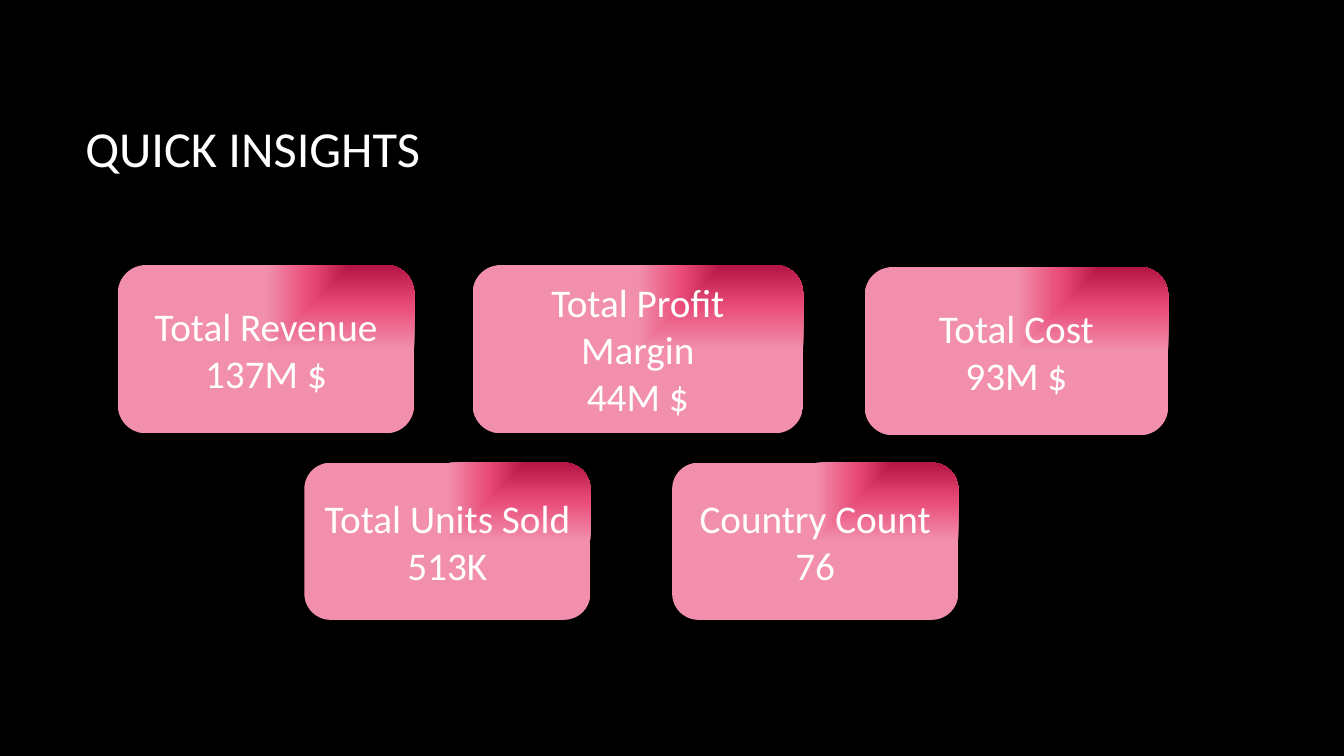
from pptx import Presentation
from pptx.dml.color import RGBColor
from pptx.enum.shapes import MSO_SHAPE
from pptx.enum.text import MSO_ANCHOR, PP_ALIGN
from pptx.oxml import parse_xml
from pptx.oxml.ns import nsdecls, qn
from pptx.util import Cm, Pt

ROUNDED = MSO_SHAPE.ROUNDED_RECTANGLE
MIDDLE = MSO_ANCHOR.MIDDLE
LEFT = PP_ALIGN.LEFT
CENTER = PP_ALIGN.CENTER

BLACK = RGBColor(0x00, 0x00, 0x00)
WHITE = RGBColor(0xFF, 0xFF, 0xFF)
CRIMSON = RGBColor(0xB3, 0x16, 0x44)
ROSE = RGBColor(0xE9, 0x4B, 0x78)
PINK = RGBColor(0xF1, 0x8F, 0xAC)

FONT = "Calibri"
GLOW = [(0, CRIMSON), (48, ROSE), (100, PINK)]

TOP_ROW, BOTTOM_ROW = 6.68, 11.66
TOP_HEIGHT, BOTTOM_HEIGHT = 4.24, 3.96
CARDS = [
    ("Total Revenue", "137M $", 2.97, TOP_ROW, 7.47, TOP_HEIGHT),
    ("Total Profit Margin", "44M $", 11.91, TOP_ROW, 8.33, TOP_HEIGHT),
    ("Total Cost", "93M $", 21.79, 6.73, 7.65, TOP_HEIGHT),
    ("Total Units Sold", "513K", 7.67, BOTTOM_ROW, 7.21, BOTTOM_HEIGHT),
    ("Country Count", "76", 16.94, BOTTOM_ROW, 7.21, BOTTOM_HEIGHT),
]


def write_lines(sp, lines, size, align):
    tf = sp.text_frame
    tf.word_wrap = True
    tf.vertical_anchor = MIDDLE
    tf.text = "\n".join(lines)
    for p in tf.paragraphs:
        p.alignment = align
        p.font.name = FONT
        p.font.size = Pt(size)
        p.font.color.rgb = WHITE


def fill_with_corner_glow(sp):
    stops = "".join(
        f'<a:gs pos="{percent * 1000}"><a:srgbClr val="{color}"/></a:gs>'
        for percent, color in GLOW
    )
    gradient = parse_xml(
        f'<a:gradFill {nsdecls("a")} rotWithShape="1"><a:gsLst>{stops}</a:gsLst>'
        '<a:path path="rect"><a:fillToRect l="100000" b="100000"/></a:path>'
        "</a:gradFill>"
    )
    sp.element.spPr.find(qn("a:prstGeom")).addnext(gradient)


def add_title(s, text):
    sp = s.shapes.add_textbox(Cm(1.9), Cm(1.7), Cm(28.14), Cm(4.04))
    write_lines(sp, [text], 36, LEFT)


def add_card(s, label, value, left, top, width, height):
    sp = s.shapes.add_shape(ROUNDED, Cm(left), Cm(top), Cm(width), Cm(height))
    sp.shadow.inherit = False
    sp.line.fill.background()
    fill_with_corner_glow(sp)
    write_lines(sp, [label, value], 28, CENTER)


def main():
    prs = Presentation()
    prs.slide_width = Cm(33.87)
    prs.slide_height = Cm(19.05)
    s = prs.slides.add_slide(prs.slide_layouts[6])
    s.background.fill.solid()
    s.background.fill.fore_color.rgb = BLACK
    add_title(s, "QUICK INSIGHTS")
    for card in CARDS:
        add_card(s, *card)
    prs.save("out.pptx")


if __name__ == "__main__":
    main()
